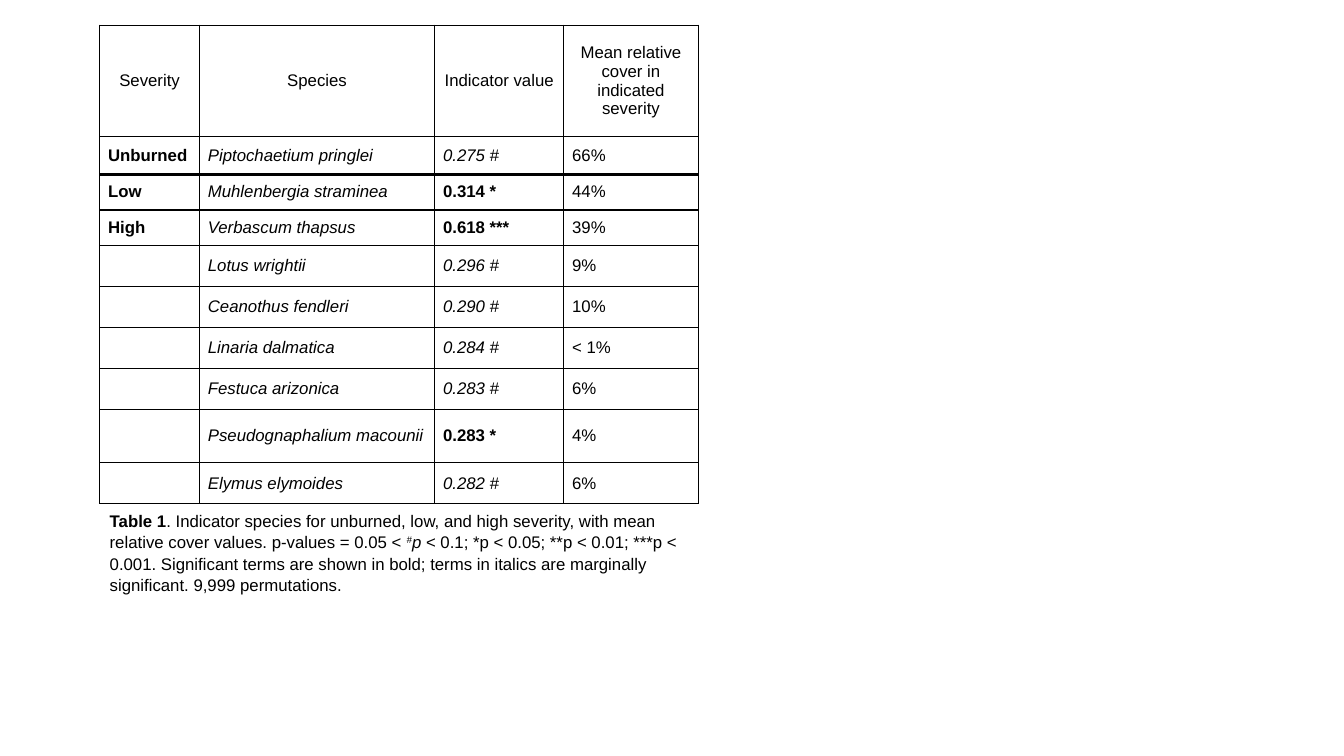
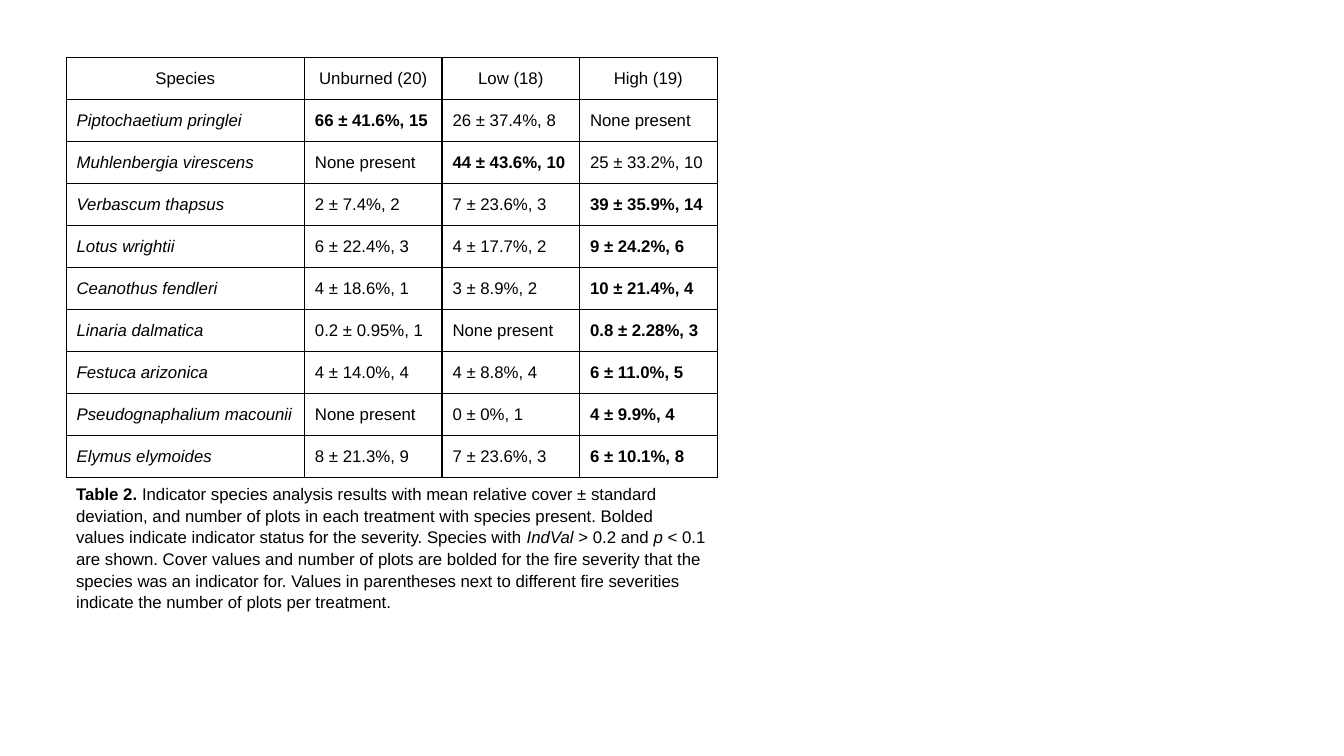
"""Build two slides, each holding a species table with its caption."""
from dataclasses import dataclass

from lxml.etree import SubElement
from pptx import Presentation
from pptx.dml.color import RGBColor
from pptx.enum.text import MSO_ANCHOR, MSO_AUTO_SIZE, PP_ALIGN
from pptx.oxml.ns import qn
from pptx.slide import Slide
from pptx.table import _Cell
from pptx.text.text import _Run
from pptx.util import Emu, Pt

EMU_PER_PX = 9525
FONT = "Arial"
FONT_SIZE = 12
INK = "000000"
THIN = 1
HEAVY = 2.25
CAPTION_SPACING = 1.07


@dataclass(frozen=True)
class Phrase:
    text: str
    bold: bool = False
    italic: bool = False
    superscript: bool = False


@dataclass(frozen=True)
class TableSlide:
    left: int
    top: int
    columns: list[int]
    rows: list[int]
    inset: int
    cells: list[list[Phrase]]
    caption: list[Phrase]
    caption_height: int
    heavy_after: tuple[int, ...] = ()


def px(length: int) -> Emu:
    return Emu(length * EMU_PER_PX)


def color(value: str) -> RGBColor:
    return RGBColor.from_string(value)


def format_run(run: _Run, phrase: Phrase) -> None:
    font = run.font
    font.name = FONT
    font.size = Pt(FONT_SIZE)
    font.bold = phrase.bold
    font.italic = phrase.italic
    font.color.rgb = color(INK)
    if phrase.superscript:
        run._r.get_or_add_rPr().set("baseline", "30000")


def draw_borders(cell: _Cell, top: float, bottom: float) -> None:
    properties = cell._tc.get_or_add_tcPr()
    widths = {"lnL": THIN, "lnR": THIN, "lnT": top, "lnB": bottom}
    for index, (side, width) in enumerate(widths.items()):
        line = SubElement(properties, qn(f"a:{side}"), w=str(int(Pt(width))))
        fill = SubElement(line, qn("a:solidFill"))
        SubElement(fill, qn("a:srgbClr"), val=INK)
        properties.insert(index, line)


def fill_cell(cell: _Cell, phrase: Phrase, inset: int, centered: bool) -> None:
    cell.fill.background()
    cell.vertical_anchor = MSO_ANCHOR.MIDDLE
    if not phrase.text:
        return
    cell.margin_left = cell.margin_right = px(inset)
    cell.margin_top = cell.margin_bottom = px(inset)
    cell.text_frame.text = phrase.text
    paragraph = cell.text_frame.paragraphs[0]
    paragraph.alignment = PP_ALIGN.CENTER if centered else PP_ALIGN.LEFT
    format_run(paragraph.runs[0], phrase)


def draw_table(slide: Slide, content: TableSlide) -> None:
    table = slide.shapes.add_table(
        len(content.rows), len(content.columns), px(content.left), px(content.top),
        px(sum(content.columns)), px(sum(content.rows)),
    ).table
    table.first_row = table.horz_banding = False
    for column, width in zip(table.columns, content.columns):
        column.width = px(width)
    for index, (row, height) in enumerate(zip(table.rows, content.rows)):
        row.height = px(height)
        top = HEAVY if index - 1 in content.heavy_after else THIN
        bottom = HEAVY if index in content.heavy_after else THIN
        for cell, phrase in zip(row.cells, content.cells[index]):
            fill_cell(cell, phrase, content.inset, centered=index == 0)
            draw_borders(cell, top, bottom)


def draw_caption(slide: Slide, content: TableSlide) -> None:
    text_frame = slide.shapes.add_textbox(
        px(content.left), px(content.top + sum(content.rows)),
        px(sum(content.columns)), px(content.caption_height),
    ).text_frame
    text_frame.word_wrap = True
    text_frame.auto_size = MSO_AUTO_SIZE.SHAPE_TO_FIT_TEXT
    paragraph = text_frame.paragraphs[0]
    paragraph.line_spacing = CAPTION_SPACING
    for phrase in content.caption:
        run = paragraph.add_run()
        run.text = phrase.text
        format_run(run, phrase)


def header(*titles: str) -> list[Phrase]:
    return [Phrase(title) for title in titles]


def indicator_row(severity: str, species: str, value: str, cover: str) -> list[Phrase]:
    return [
        Phrase(severity, bold=True),
        Phrase(species, italic=True),
        Phrase(value, bold=value.endswith("*"), italic=value.endswith("#")),
        Phrase(cover),
    ]


def cover_row(species: str, covers: list[str], indicated: int) -> list[Phrase]:
    values = [Phrase(cover, bold=index == indicated) for index, cover in enumerate(covers)]
    return [Phrase(species, italic=True), *values]


INDICATORS = [
    ("Unburned", "Piptochaetium pringlei", "0.275 #", "66%"),
    ("Low", "Muhlenbergia straminea", "0.314 *", "44%"),
    ("High", "Verbascum thapsus", "0.618 ***", "39%"),
    ("", "Lotus wrightii", "0.296 #", "9%"),
    ("", "Ceanothus fendleri", "0.290 #", "10%"),
    ("", "Linaria dalmatica", "0.284 #", "< 1%"),
    ("", "Festuca arizonica", "0.283 #", "6%"),
    ("", "Pseudognaphalium macounii", "0.283 *", "4%"),
    ("", "Elymus elymoides", "0.282 #", "6%"),
]

UNBURNED, LOW, HIGH = range(3)
COVERS = [
    ("Piptochaetium pringlei", ["66 ± 41.6%, 15", "26 ± 37.4%, 8", "None present"], UNBURNED),
    ("Muhlenbergia virescens", ["None present", "44 ± 43.6%, 10", "25 ± 33.2%, 10"], LOW),
    ("Verbascum thapsus", ["2 ± 7.4%, 2", "7 ± 23.6%, 3", "39 ± 35.9%, 14"], HIGH),
    ("Lotus wrightii", ["6 ± 22.4%, 3", "4 ± 17.7%, 2", "9 ± 24.2%, 6"], HIGH),
    ("Ceanothus fendleri", ["4 ± 18.6%, 1", "3 ± 8.9%, 2", "10 ± 21.4%, 4"], HIGH),
    ("Linaria dalmatica", ["0.2 ± 0.95%, 1", "None present", "0.8 ± 2.28%, 3"], HIGH),
    ("Festuca arizonica", ["4 ± 14.0%, 4", "4 ± 8.8%, 4", "6 ± 11.0%, 5"], HIGH),
    ("Pseudognaphalium macounii", ["None present", "0 ± 0%, 1", "4 ± 9.9%, 4"], HIGH),
    ("Elymus elymoides", ["8 ± 21.3%, 9", "7 ± 23.6%, 3", "6 ± 10.1%, 8"], HIGH),
]

INDICATOR_SLIDE = TableSlide(
    left=95,
    top=24,
    columns=[95, 224, 123, 128],
    rows=[106, 36, 34, 34, *[39] * 4, 51, 39],
    inset=8,
    cells=[
        header("Severity", "Species", "Indicator value",
               "Mean relative cover in indicated severity"),
        *[indicator_row(*row) for row in INDICATORS],
    ],
    caption=[
        Phrase("Table 1", bold=True),
        Phrase(". Indicator species for unburned, low, and high severity, with mean "
               "relative cover values. p-values = 0.05 < "),
        Phrase("#", italic=True, superscript=True),
        Phrase("p", italic=True),
        Phrase(" < 0.1; *p < 0.05; **p < 0.01; ***p < 0.001. Signiﬁcant terms are shown "
               "in bold; terms in italics are marginally signiﬁcant. 9,999 permutations."),
    ],
    caption_height=87,
    heavy_after=(1, 2),
)

COVER_SLIDE = TableSlide(
    left=63,
    top=55,
    columns=[227, *[131] * 3],
    rows=[40] * 10,
    inset=10,
    cells=[
        header("Species", "Unburned (20)", "Low (18)", "High (19)"),
        *[cover_row(*row) for row in COVERS],
    ],
    caption=[
        Phrase("Table 2. ", bold=True),
        Phrase("Indicator species analysis results with mean relative cover ± standard "
               "deviation, and number of plots in each treatment with species present. "
               "Bolded values indicate indicator status for the severity. Species with "),
        Phrase("IndVal ", italic=True),
        Phrase("> 0.2 and "),
        Phrase("p", italic=True),
        Phrase(" < 0.1 are shown. Cover values and number of plots are bolded for the fire "
               "severity that the species was an indicator for. Values in parentheses next "
               "to different fire severities indicate the number of plots per treatment."),
    ],
    caption_height=126,
)


def main() -> None:
    presentation = Presentation()
    presentation.slide_width = px(1280)
    presentation.slide_height = px(720)
    for content in (INDICATOR_SLIDE, COVER_SLIDE):
        slide = presentation.slides.add_slide(presentation.slide_layouts[6])
        draw_table(slide, content)
        draw_caption(slide, content)
    presentation.save("out.pptx")


if __name__ == "__main__":
    main()
